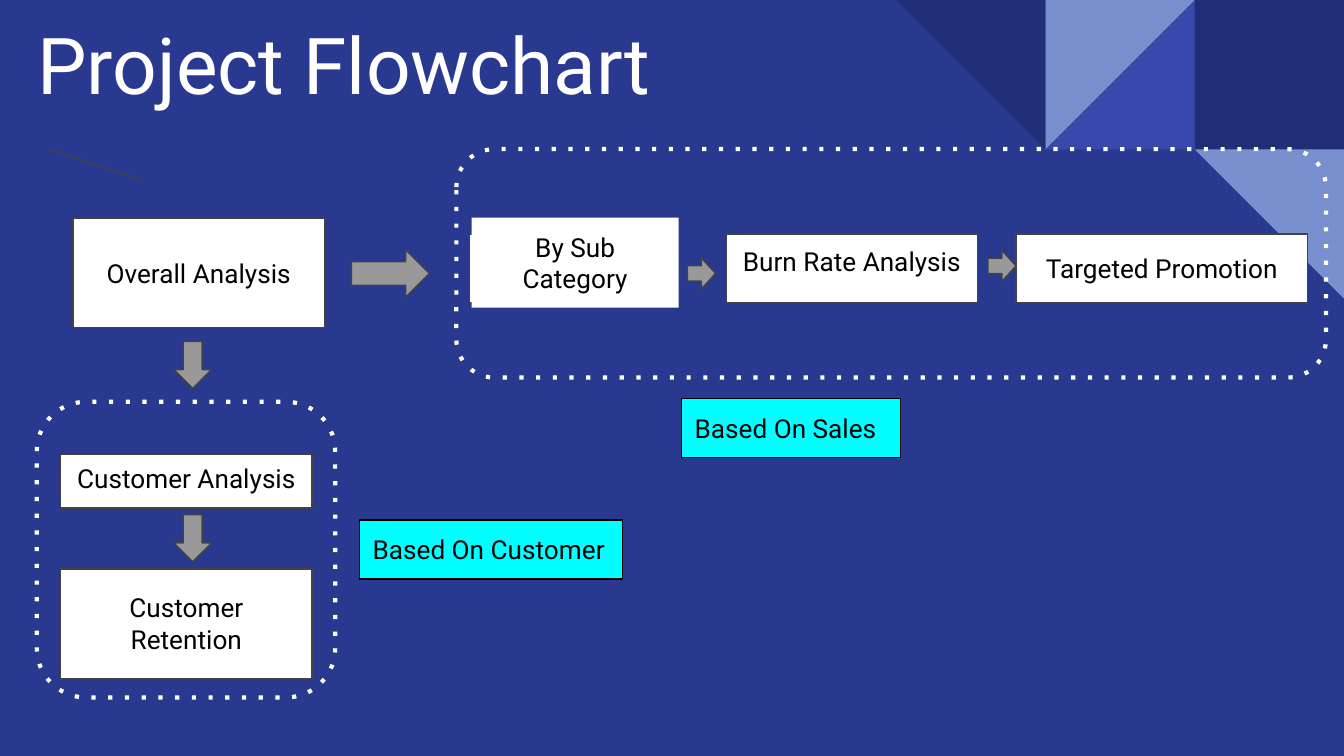
from dataclasses import dataclass
from typing import Any

from pptx import Presentation
from pptx import util as u
from pptx.dml.color import RGBColor
from pptx.enum import dml, shapes, text
from pptx.oxml.ns import qn
from pptx.oxml.xmlchemy import OxmlElement

KIND = shapes.MSO_SHAPE
COLUMNS, ROWS = 100, 56.25  # square grid cells, a tenth of an inch each
TILE = COLUMNS / 9  # side of one corner ornament


def color(value):
    return RGBColor.from_string(value)


def write(frame, words, size=14, ink="000000", font="Roboto",
          align=text.PP_ALIGN.LEFT, anchor=text.MSO_ANCHOR.TOP):
    frame.word_wrap = True
    frame.vertical_anchor = anchor
    frame.margin_left = frame.margin_right = u.Inches(0.1)
    frame.margin_top = frame.margin_bottom = u.Inches(0.1)
    para = frame.paragraphs[0]
    para.alignment = align
    span = para.add_run()
    span.text = words
    span.font.name = font
    span.font.size = u.Pt(size)
    span.font.color.rgb = color(ink)


@dataclass
class Flowchart:
    page: Any
    cell: int
    paper: str = "FFFFFF"
    edge: str = "434343"
    arrow_fill: str = "999999"
    label_fill: str = "00FFFF"
    weight: float = 0.75

    def place(self, *cells):
        return [round(value * self.cell) for value in cells]

    def shape(self, kind, at, fill=None, line=None, weight=None):
        box = self.page.shapes.add_shape(kind, *self.place(*at))
        box.shadow.inherit = False
        if fill:
            box.fill.solid()
            box.fill.fore_color.rgb = color(fill)
        else:
            box.fill.background()
        if line:
            box.line.color.rgb = color(line)
            box.line.width = u.Pt(weight or self.weight)
        else:
            box.line.fill.background()
        return box

    def tile(self, column, row, fill, turn=None):
        """A square, or a right triangle when a turn is given."""
        kind = KIND.RECTANGLE if turn is None else KIND.RIGHT_TRIANGLE
        at = (column * TILE, row * TILE, TILE, TILE)
        self.shape(kind, at, fill).rotation = turn or 0

    def group(self, *at):
        box = self.shape(KIND.FLOWCHART_ALTERNATE_PROCESS, at, line=self.paper, weight=2.25)
        box.line.dash_style = dml.MSO_LINE.ROUND_DOT
        box.element.spPr.find(".//" + qn("a:prstDash")).set("val", "dot")

    def words(self, at, words, **style):
        box = self.page.shapes.add_textbox(*self.place(*at))
        write(box.text_frame, words, **style)

    def step(self, at, words, text_top, text_height=4.4):
        self.shape(KIND.RECTANGLE, at, self.paper, self.edge)
        self.words((at[0], text_top, at[2], text_height), words,
                   align=text.PP_ALIGN.CENTER)

    def arrow(self, kind, *at):
        self.shape(kind, at, self.arrow_fill, self.edge)

    def label(self, at, words):
        box = self.shape(KIND.RECTANGLE, at, self.label_fill, "000000")
        write(box.text_frame, words)

    def rule(self, *ends):
        line = self.page.shapes.add_connector(
            shapes.MSO_CONNECTOR.STRAIGHT, *self.place(*ends))
        line.line.color.rgb = color(self.edge)
        line.line.width = u.Pt(self.weight)
        line.element.spPr.append(OxmlElement("a:effectLst"))


def main():
    deck = Presentation()
    deck.slide_width, deck.slide_height = u.Inches(10), u.Inches(ROWS / 10)
    page = deck.slides.add_slide(deck.slide_layouts[6])
    page.background.fill.solid()
    page.background.fill.fore_color.rgb = color("2A3990")
    chart = Flowchart(page, deck.slide_width // COLUMNS)

    # Corner ornament
    chart.tile(8, 0, "212D74")
    chart.tile(7, 0, "3949AB", turn=270)
    chart.tile(7, 0, "7890CD", turn=90)
    chart.tile(6, 0, "212D74", turn=180)
    chart.tile(8, 1, "7890CD", turn=180)

    # Dotted groups
    chart.group(2.74, 29.9, 22.2, 22)
    chart.group(33.96, 11.1, 64.7, 17)

    # Title and its rule
    chart.words((1.8, 0, 89.9, 9.2), "Project Flowchart", size=42, ink="FFFFFF",
                anchor=text.MSO_ANCHOR.BOTTOM)
    chart.rule(3.7, 11.1, 10.6, 13.4)

    # Sales steps
    chart.step((5.44, 16.26, 18.7, 8.1), "Overall Analysis", 18.14)
    chart.step((54.04, 17.4, 18.7, 5.1), "Burn Rate Analysis", 17.24)
    chart.shape(KIND.RECTANGLE, (34.94, 17.4, 15.4, 5.1), chart.paper, chart.edge)
    category = chart.shape(KIND.RECTANGLE, (35.1, 16.2, 15.4, 6.7), chart.paper)
    write(category.text_frame, "By Sub Category", align=text.PP_ALIGN.CENTER)
    chart.step((75.6, 17.4, 21.7, 5.1), "Targeted Promotion", 17.8)

    # Customer steps
    chart.step((4.52, 33.8, 18.7, 4), "Customer Analysis", 33.4)
    chart.step((4.52, 42.34, 18.7, 8.14), "Customer Retention", 43.04, 6.7)

    # Arrows
    for top in (25.4, 38.3):
        chart.arrow(KIND.DOWN_ARROW, 12.94, top, 2.8, 3.5)
    chart.arrow(KIND.RIGHT_ARROW, 26.14, 18.6, 5.8, 3.5)
    for left, top in ((51.14, 19.2), (73.5, 18.64)):
        chart.arrow(KIND.RIGHT_ARROW, left, top, 2.1, 2.3)

    # Group labels
    chart.label((50.7, 29.66, 16.3, 4.4), "Based On Sales")
    chart.label((26.74, 38.7, 19.6, 4.4), "Based On Customer")

    deck.save("out.pptx")


if __name__ == "__main__":
    main()
